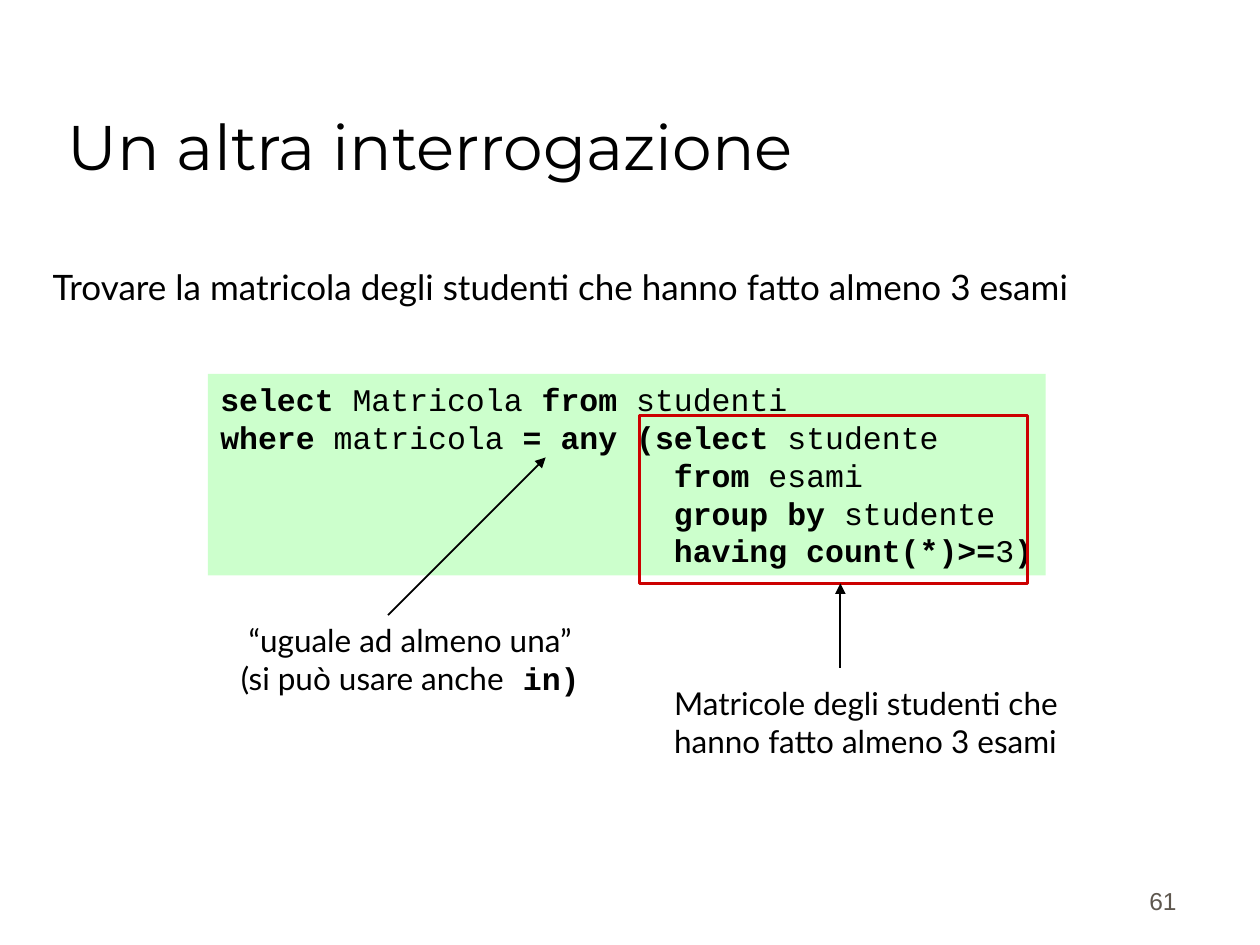
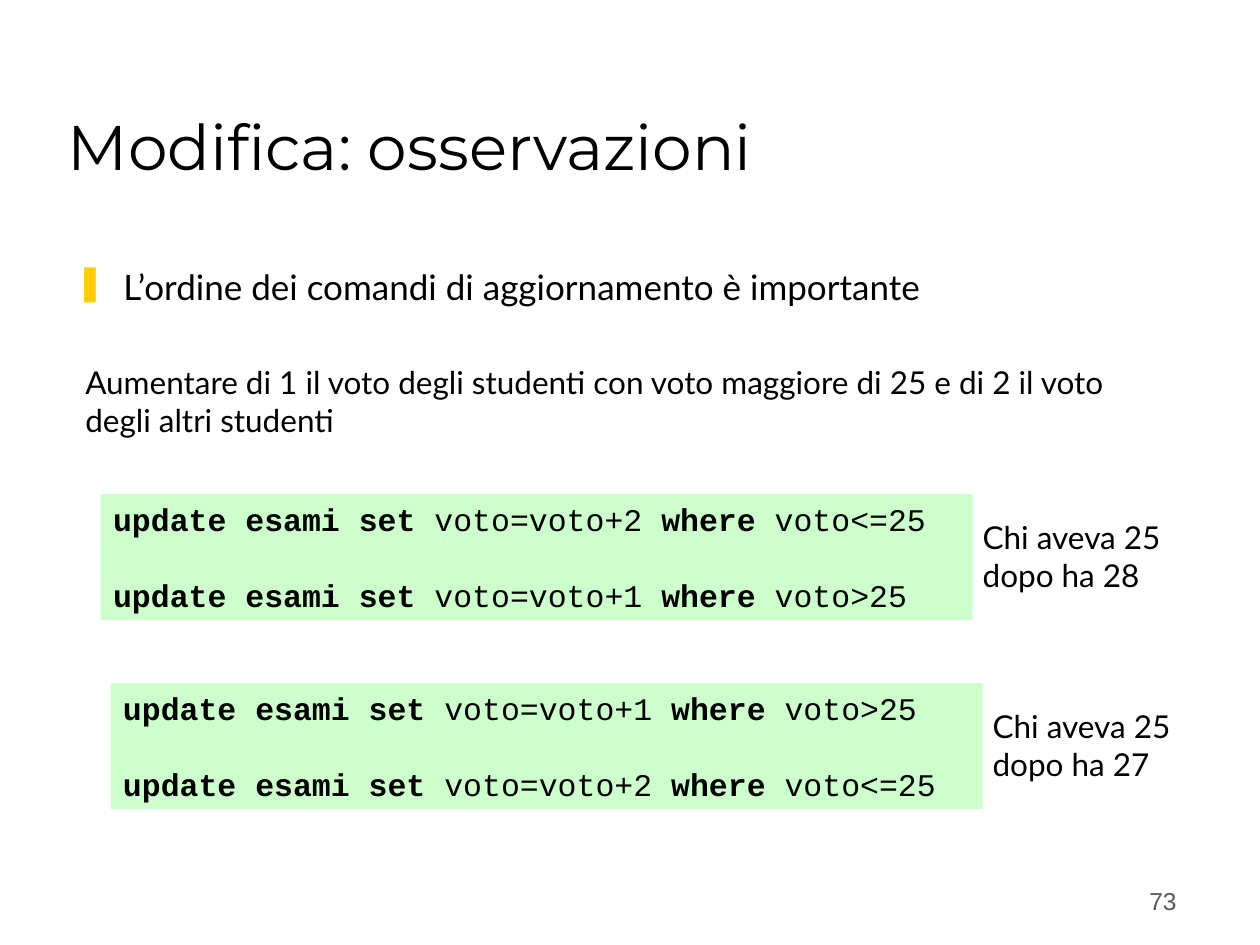
from lxml import etree
from pptx import Presentation
from pptx.dml.color import RGBColor
from pptx.enum import shapes, text
from pptx.oxml import ns
from pptx.util import Cm, Pt

BLACK = RGBColor(0x00, 0x00, 0x00)
GREY = RGBColor(0x5E, 0x57, 0x4E)
GREEN = RGBColor(0xCC, 0xFF, 0xCC)
RED = RGBColor(0xCC, 0x00, 0x00)
YELLOW = RGBColor(0xFF, 0xCC, 0x00)
TITLE_FONT, BODY_FONT, CODE_FONT, NUMBER_FONT = (
    "Montserrat", "Lato", "Courier New", "Arial")

# Content: in every line, the parts between bars are bold
QUERY_TITLE, QUERY_PAGE = "Un altra interrogazione", "61"
QUESTION = "Trovare la matricola degli studenti che hanno fatto almeno 3 esami"
QUERY = [
    "|select |Matricola| from |studenti",
    "|where |matricola| = any (select |studente",
    "|                        from |esami",
    "|                        group by |studente",
    "|                        having count(*)>=|3|)|",
]
SUBQUERY_NOTE = ["Matricole degli studenti che hanno fatto almeno 3 esami"]
ANY_NOTE = ["“uguale ad almeno una”", "(si può usare anche| in)|"]

UPDATE_TITLE, UPDATE_PAGE = "Modifica: osservazioni", "73"
REMARK = "L’ordine dei comandi di aggiornamento è importante"
TASK = ("Aumentare di 1 il voto degli studenti con voto maggiore di 25 "
        "e di 2 il voto degli altri studenti")
LOW_GRADES = "|update esami set |voto=voto+2 |where |voto<=25"
HIGH_GRADES = "|update esami set |voto=voto+1 |where |voto>25"
ORDERS = [
    ([LOW_GRADES, HIGH_GRADES], ["Chi aveva 25", "dopo ha 28"]),
    ([HIGH_GRADES, LOW_GRADES], ["Chi aveva 25", "dopo ha 27"]),
]

# Places in cm: left, top, width, height
TITLE_BOX = (1.12, 0.64, 23.22, 3.18)
PAGE_BOX = (18.69, 17.3, 5.28, 1.27)
ORDER_LEFT, ORDER_TOP, ORDER_WIDTH, ORDER_HEIGHT = 2.03, 9.96, 17.58, 2.54
ORDER_STEP = (0.2, 3.81)


def add_text(slide, box, lines, size=18, font=BODY_FONT, bold_font=CODE_FONT,
             color=BLACK, align=text.PP_ALIGN.LEFT, anchor=text.MSO_ANCHOR.TOP,
             fill=None, wrap=True, pitch=None, gap=0, bullet=None):
    area = slide.shapes.add_textbox(*map(Cm, box))
    if fill is not None:
        area.fill.solid()
        area.fill.fore_color.rgb = fill
    frame = area.text_frame
    frame.word_wrap = wrap
    frame.vertical_anchor = anchor
    for row, line in enumerate(lines):
        para = frame.add_paragraph() if row else frame.paragraphs[0]
        para.alignment = align
        if pitch:
            para.line_spacing = Pt(pitch)
        if row and gap:
            para.space_before = Pt(gap)
        if bullet:
            add_bullet(para, bullet)
        for part, words in enumerate(line.split("|")):
            if not words:
                continue
            run = para.add_run()
            run.text = words
            run.font.bold = part % 2 == 1
            run.font.name = bold_font if run.font.bold else font
            run.font.size = Pt(size)
            run.font.color.rgb = color


def add_bullet(para, mark):
    props = para._p.get_or_add_pPr()
    props.set("marL", str(Cm(0.97)))
    props.set("indent", str(-Cm(0.97)))
    tint = etree.SubElement(props, ns.qn("a:buClr"))
    etree.SubElement(tint, ns.qn("a:srgbClr"), val=str(YELLOW))
    etree.SubElement(props, ns.qn("a:buChar"), char=mark)


def add_code(slide, box, lines, **options):
    add_text(slide, box, lines, font=CODE_FONT, fill=GREEN, pitch=21.6, **options)


def add_arrow(slide, *ends):
    arrow = slide.shapes.add_connector(
        shapes.MSO_CONNECTOR.STRAIGHT, *map(Cm, ends))
    arrow.line.color.rgb = BLACK
    arrow.line.width = Pt(1)
    etree.SubElement(arrow.line._get_or_add_ln(), ns.qn("a:tailEnd"), type="triangle")
    etree.SubElement(arrow._element.spPr, ns.qn("a:effectLst"))


def add_slide(deck, title, page):
    slide = deck.slides.add_slide(deck.slide_layouts[6])
    add_text(slide, TITLE_BOX, [title], size=36, font=TITLE_FONT,
             anchor=text.MSO_ANCHOR.BOTTOM)
    add_text(slide, PAGE_BOX, [page], size=14, font=NUMBER_FONT, color=GREY,
             align=text.PP_ALIGN.RIGHT, anchor=text.MSO_ANCHOR.BOTTOM)
    return slide


def build_query(deck):
    slide = add_slide(deck, QUERY_TITLE, QUERY_PAGE)
    add_text(slide, (0.81, 5.23, 22.76, 1.12), [QUESTION], size=20)
    add_code(slide, (4.19, 7.54, 16.89, 4.06), QUERY, wrap=False)

    # Frame around the subquery
    subquery = slide.shapes.add_shape(
        shapes.MSO_SHAPE.RECTANGLE, *map(Cm, (12.9, 8.38, 7.82, 3.38)))
    subquery.shadow.inherit = False
    subquery.fill.background()
    subquery.line.color.rgb = RED
    subquery.line.width = Pt(1.75)

    # Notes and their arrows
    add_text(slide, (13.34, 13.67, 8.89, 1.78), SUBQUERY_NOTE)
    add_arrow(slide, 16.94, 13.46, 16.94, 11.76)
    add_text(slide, (3.61, 12.4, 9.32, 1.78), ANY_NOTE,
             align=text.PP_ALIGN.CENTER)
    add_arrow(slide, 7.82, 12.4, 11, 9.22)


def build_update(deck):
    slide = add_slide(deck, UPDATE_TITLE, UPDATE_PAGE)
    add_text(slide, (1.27, 5.23, 22.71, 1.52), [REMARK], size=20, bullet="❚")
    add_text(slide, (1.47, 7.19, 21.16, 1.78), [TASK])

    # Each order of the commands, with its outcome beside it
    for index, (commands, outcome) in enumerate(ORDERS):
        left = ORDER_LEFT + index * ORDER_STEP[0]
        top = ORDER_TOP + index * ORDER_STEP[1]
        add_code(slide, (left, top, ORDER_WIDTH, ORDER_HEIGHT), commands, gap=21.6)
        add_text(slide, (left + 17.53, top + 0.36, 4.39, 1.78), outcome)


def main():
    deck = Presentation()
    deck.slide_width, deck.slide_height = Cm(25.4), Cm(19.05)
    build_query(deck)
    build_update(deck)
    deck.save("out.pptx")


if __name__ == "__main__":
    main()
